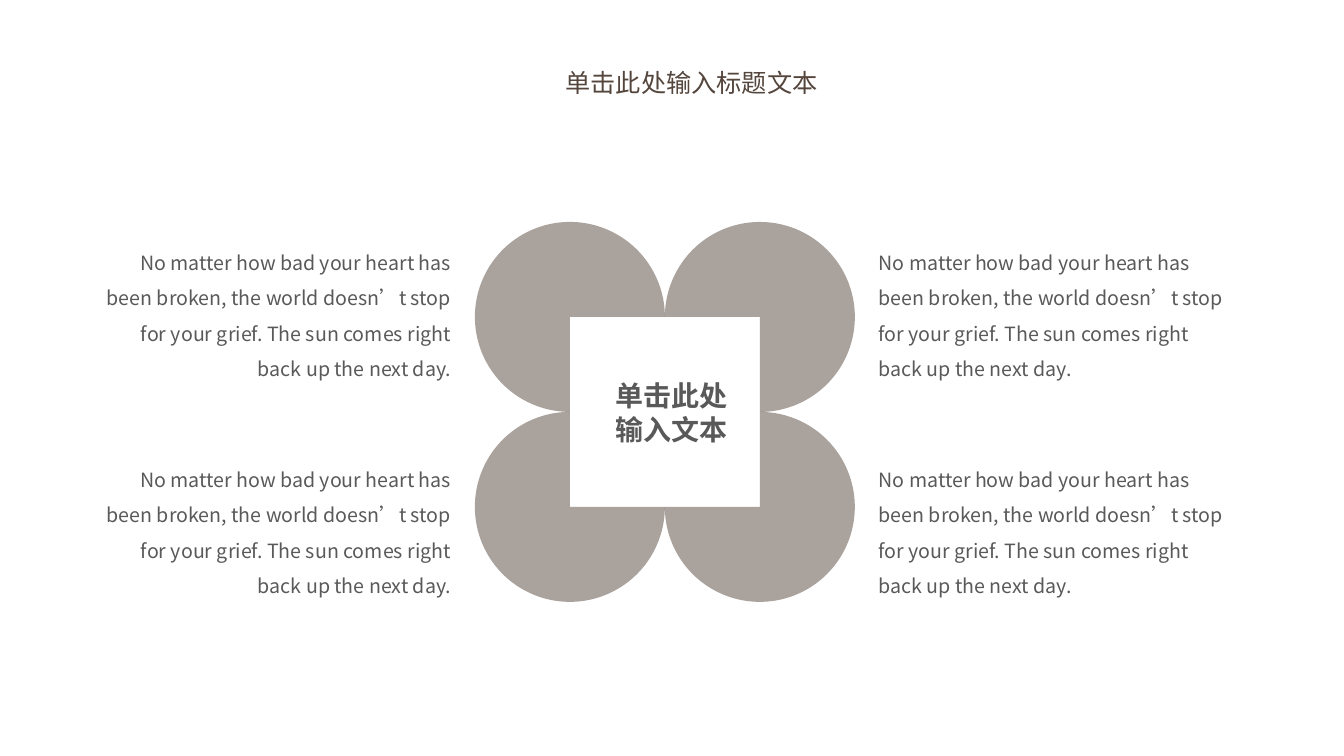
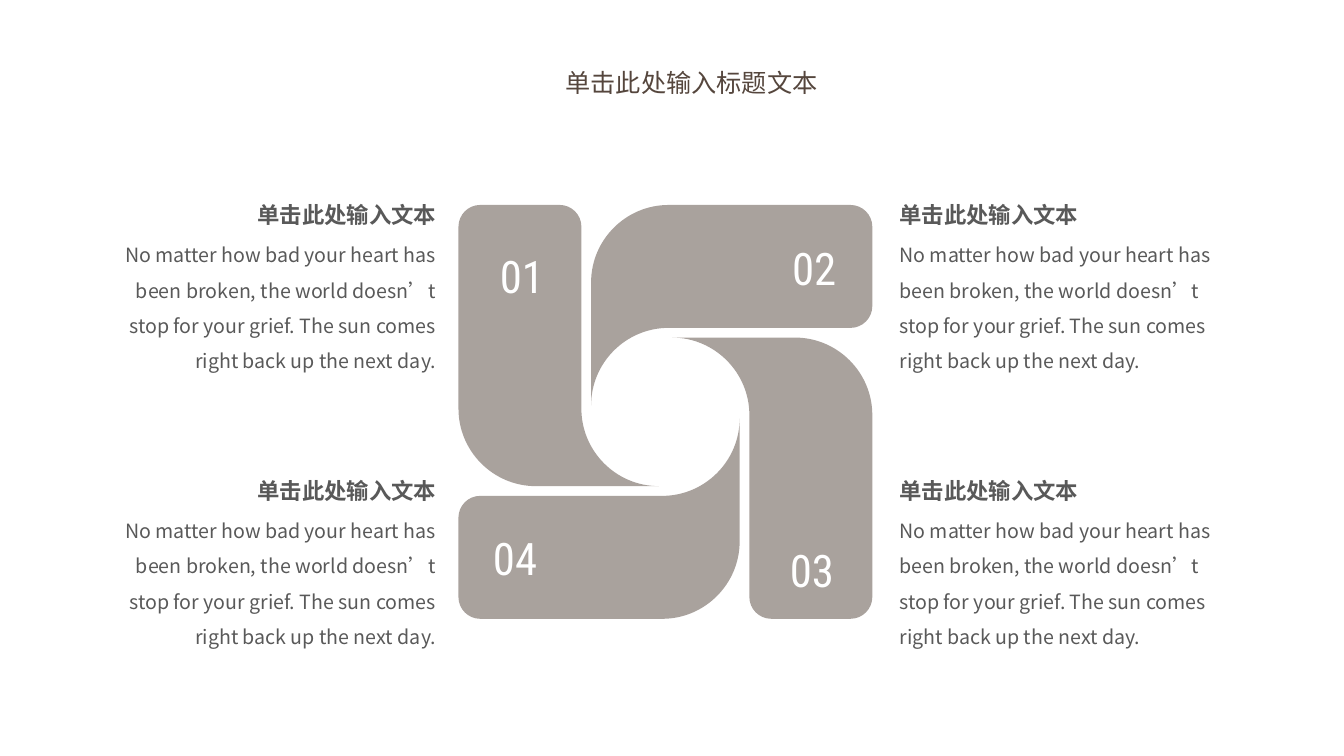
from dataclasses import dataclass

import pptx
import pptx.util
import pptx.dml.color
import pptx.enum.lang
import pptx.enum.shapes
import pptx.enum.text
import pptx.oxml
import pptx.oxml.ns

Pt = pptx.util.Pt
ALIGN = pptx.enum.text.PP_ALIGN
TITLE = "单击此处输入标题文本"
LABEL = "单击此处输入文本"
BODY = ("No matter how bad your heart has been broken, the world doesn’t stop "
        "for your grief. The sun comes right back up the next day.")


@dataclass(frozen=True)
class Theme:
    """Colours, fonts and type sizes of the deck."""
    brown: str = "55463D"
    grey: str = "595959"
    white: str = "FFFFFF"
    opacity: int = 50
    font: str = "Noto Sans CJK SC"
    number_font: str = "Roboto Condensed"
    title: int = 18
    label: int = 20
    heading: int = 16
    body: int = 14
    number: int = 32


THEME = Theme()


def rgb(color):
    """Turn a hex string into a colour."""
    return pptx.dml.color.RGBColor.from_string(color)


def make(tag, **attrs):
    """Make a drawing element such as a:alpha."""
    el = pptx.oxml.parse_xml(f'<{tag} {pptx.oxml.ns.nsdecls("a")}/>')
    for name, value in attrs.items():
        el.set(name, str(value))
    return el


def write(sp, text, size, color, font=THEME.font, bold=False, align=ALIGN.LEFT, spacing=1.0):
    """Write one formatted paragraph into a shape, from its top."""
    tf = sp.text_frame
    tf.word_wrap = True
    tf.auto_size = pptx.enum.text.MSO_AUTO_SIZE.NONE
    tf.vertical_anchor = pptx.enum.text.MSO_ANCHOR.TOP
    p = tf.paragraphs[0]
    p.alignment = align
    p.line_spacing = spacing
    r = p.add_run()
    r.text = text
    r.font.size = Pt(size)
    r.font.bold = bold
    r.font.color.rgb = rgb(color)
    r.font.name = font
    r.font.language_id = pptx.enum.lang.MSO_LANGUAGE_ID.SIMPLIFIED_CHINESE
    latin = r._r.find(".//" + pptx.oxml.ns.qn("a:latin"))
    latin.addnext(make("a:ea", typeface=font))


def add_text(s, x, y, w, h, text, size, color, **style):
    """Add a text box."""
    sp = s.shapes.add_textbox(Pt(x), Pt(y), Pt(w), Pt(h))
    write(sp, text, size, color, **style)


def paint(sp):
    """Fill a shape with translucent brown and drop its outline."""
    sp.shadow.inherit = False
    sp.line.fill.background()
    sp.fill.solid()
    sp.fill.fore_color.rgb = rgb(THEME.brown)
    clr = sp.element.spPr.find(".//" + pptx.oxml.ns.qn("a:srgbClr"))
    clr.append(make("a:alpha", val=THEME.opacity * 1000))


def add_slide(prs):
    """Add a title-only slide with the shared title style."""
    s = prs.slides.add_slide(prs.slide_layouts[5])
    sp = s.shapes.title
    sp.left, sp.top, sp.width, sp.height = Pt(396.7), Pt(44.6), Pt(204.5), Pt(29)
    write(sp, TITLE, THEME.title, THEME.brown)
    return s


def add_captions(s, lefts, tops, w, h, heading=None):
    """Place four captions in a two by two grid, facing the middle."""
    gap = 21.5 if heading else 0
    for x, align in zip(lefts, (ALIGN.RIGHT, ALIGN.LEFT)):
        for y in tops:
            add_text(s, x, y + gap, w, h, BODY, THEME.body, THEME.grey,
                     align=align, spacing=1.5)
            if heading:
                add_text(s, x, y, w, 28, heading, THEME.heading, THEME.grey,
                         bold=True, align=align)


def add_clover(s, x, y, side):
    """Draw four three-quarter pies around a labelled square."""
    d = side / 2
    for i, (col, row) in enumerate(((0, 1), (0, 0), (1, 0), (1, 1))):
        sp = s.shapes.add_shape(pptx.enum.shapes.MSO_SHAPE.PIE,
                                Pt(x + col * d), Pt(y + row * d), Pt(d), Pt(d))
        sp.rotation = 90 * i
        paint(sp)
    w, h, shift = 99.4, 55.4, 4.8
    add_text(s, x + d - w / 2 + shift, y + d - h / 2 + 0.4, w, h, LABEL,
             THEME.label, THEME.grey, bold=True, align=ALIGN.CENTER)


def quarter(start, corner, end):
    """List the four Bézier points of a quarter circle that bends at a corner."""
    pull = 0.55
    c1, c2 = ([a + pull * (c - a) for a, c in zip(tip, corner)] for tip in (start, end))
    return [start, c1, c2, end]


def blade_outline(side):
    """List the curve points of the left blade, from the pinwheel's centre."""
    half, corner, arm = side / 2, side * 0.0525, side * 0.297
    tip, level = -side * 0.016, -side * 0.0075
    left, top, right = -half, -half, arm - half
    bend = tip - right
    bottom = level + bend
    return (quarter((left, top + corner), (left, top), (left + corner, top))
            + quarter((right - corner, top), (right, top), (right, top + corner))
            + quarter((right, level), (right, bottom), (tip, bottom))
            + quarter((left + bend, bottom), (left, bottom), (left, level)))


def curve(sp):
    """Turn the last three points of every four in an outline into a curve."""
    qn = pptx.oxml.ns.qn
    lines = list(sp.element.iter(qn("a:lnTo")))
    for i in range(0, len(lines), 4):
        bend = make("a:cubicBezTo")
        lines[i].addprevious(bend)
        for line in lines[i:i + 3]:
            bend.append(line[0])
            line.getparent().remove(line)


def add_pinwheel(s, x, y, side):
    """Draw four numbered blades, each a quarter turn from the one before."""
    cx, cy = x + side / 2, y + side / 2
    outline = blade_outline(side)
    numbers = ((22.5, 28), (231.2, 22), (229.6, 237.4), (17.5, 229))
    for i, (dx, dy) in enumerate(numbers, 1):
        points = [(Pt(cx + px), Pt(cy + py)) for px, py in outline]
        fb = s.shapes.build_freeform(*points[0])
        fb.add_line_segments(points[1:], close=True)
        sp = fb.convert_to_shape()
        curve(sp)
        paint(sp)
        add_text(s, x + dx, y + dy, 54, 46, f"{i:02}", THEME.number, THEME.white,
                 font=THEME.number_font)
        outline = [(-py, px) for px, py in outline]


def clover_slide(prs):
    """Build the slide with the clover."""
    s = add_slide(prs)
    add_clover(s, 339.2, 158.5, 271.4)
    add_captions(s, (63.1, 620.6), (167.4, 322.3), 266.4, 83)


def pinwheel_slide(prs):
    """Build the slide with the pinwheel."""
    s = add_slide(prs)
    add_pinwheel(s, 327.5, 146.4, 295.6)
    add_captions(s, (75.3, 635.4), (140.3, 337.2), 243.4, 108, heading=LABEL)


def main():
    """Build and save the deck."""
    prs = pptx.Presentation()
    prs.slide_width, prs.slide_height = Pt(960), Pt(540)
    clover_slide(prs)
    pinwheel_slide(prs)
    prs.save("out.pptx")


if __name__ == "__main__":
    main()
